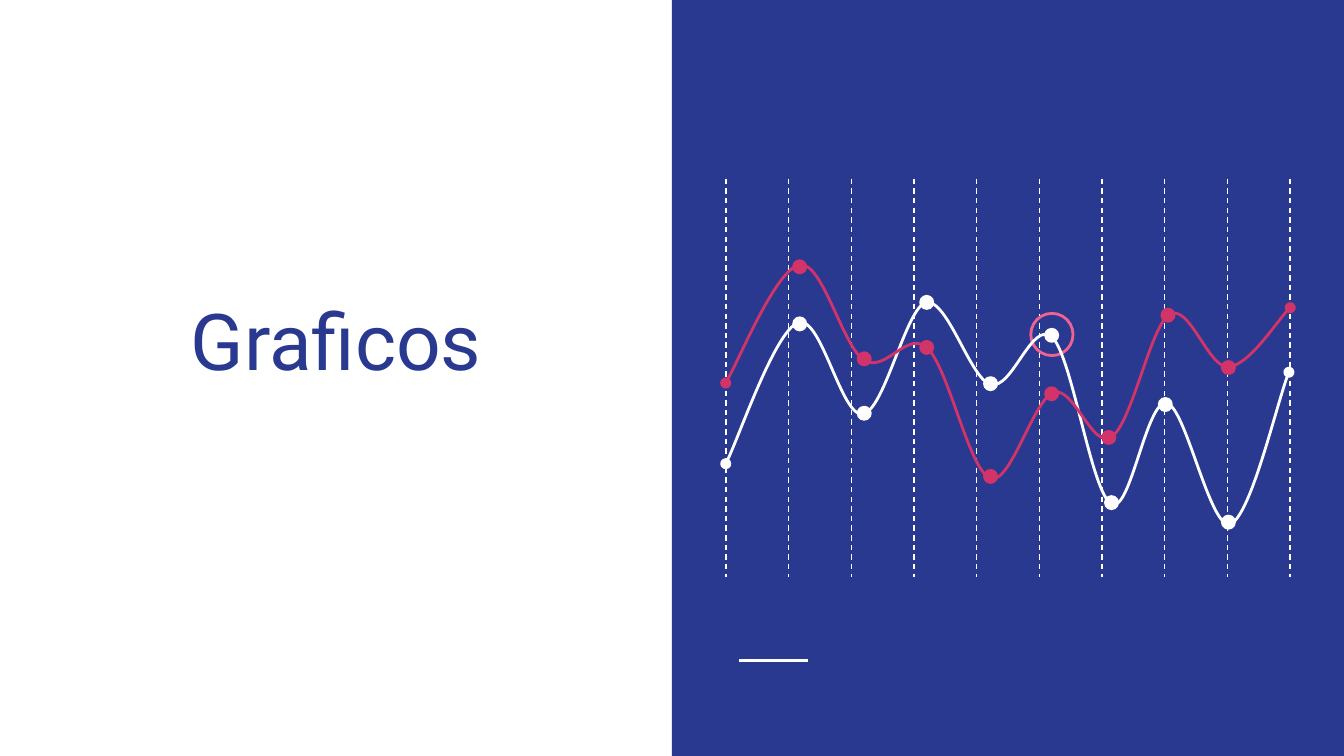
"""Build a title slide with a two-series line plot on a blue panel."""
from dataclasses import dataclass

from lxml.etree import SubElement
from pptx import Presentation
from pptx.dml.color import RGBColor
from pptx.enum.dml import MSO_LINE
from pptx.enum.shapes import MSO_CONNECTOR as CONN, MSO_SHAPE as SHAPE
from pptx.enum.text import MSO_ANCHOR, PP_ALIGN
from pptx.oxml.ns import qn
from pptx.util import Inches, Pt

WHITE, NAVY, RED, PINK = "FFFFFF", "2A3990", "D23369", "F06292"
WIDTH, HEIGHT = 100, 56.25
COLUMNS, LEFT, RIGHT, TOP, BOTTOM = 10, 54.02, 95.98, 13.3, 42.9
DOT = 0.9

Point = tuple[float, float]


@dataclass
class Series:
    """A smooth curve of Bezier segments and the centres of its dots."""
    color: str
    start: Point
    segments: list[tuple[Point, Point, Point]]
    dots: list[Point]


SERIES = [
    Series(WHITE, (54, 34.5), [
        ((54.9, 32.8), (57.7, 24.6), (59.4, 24)),
        ((61.1, 23.4), (62.6, 31.1), (64.2, 30.8)),
        ((65.8, 30.6), (67.4, 22.9), (68.9, 22.5)),
        ((70.5, 22.2), (72.2, 28.2), (73.7, 28.6)),
        ((75.3, 29.1), (76.8, 23.7), (78.3, 25.1)),
        ((79.8, 26.6), (81.2, 36.7), (82.7, 37.5)),
        ((84.1, 38.3), (85.3, 29.7), (86.8, 30)),
        ((88.2, 30.2), (90, 39.3), (91.5, 39)),
        ((93, 38.6), (95.1, 29.6), (95.9, 27.7)),
    ], [(91.4, 38.85), (86.7, 30.1), (82.7, 37.4), (78.25, 24.95),
        (73.7, 28.55), (68.95, 22.5), (64.3, 30.75), (59.5, 24.1)]),
    Series(RED, (54, 28.5), [
        ((54.9, 27), (57.8, 20), (59.5, 19.7)),
        ((61.2, 19.4), (62.7, 25.8), (64.3, 26.8)),
        ((65.9, 27.8), (67.5, 24.5), (69, 25.9)),
        ((70.6, 27.4), (72.1, 35), (73.7, 35.6)),
        ((75.2, 36.1), (76.9, 29.7), (78.4, 29.2)),
        ((79.9, 28.7), (81.3, 33.5), (82.7, 32.5)),
        ((84.2, 31.6), (85.6, 24.3), (87, 23.4)),
        ((88.5, 22.5), (89.9, 27.4), (91.4, 27.3)),
        ((92.9, 27.2), (95.2, 23.6), (96, 22.9)),
    ], [(59.5, 19.85), (64.3, 26.7), (68.95, 25.85), (73.7, 35.45),
        (78.25, 29.3), (82.5, 32.55), (86.9, 23.45), (91.4, 27.35)]),
]


def rgb(color: str) -> RGBColor:
    """Turn a hex string into a colour."""
    return RGBColor.from_string(color)


def size(share: float) -> int:
    """Turn a percentage of the slide width into a length."""
    return Inches(share / 10)


def paint(s, fill: str | None, line: str | None) -> None:
    """Set the fill and outline of a shape; None leaves either empty."""
    s.shadow.inherit = False
    if fill:
        s.fill.solid()
        s.fill.fore_color.rgb = rgb(fill)
    else:
        s.fill.background()
    if line:
        s.line.color.rgb = rgb(line)
        s.line.width = Pt(1.5)
    else:
        s.line.fill.background()


def add_line(shapes, start: Point, end: Point, width: float, dash=None) -> None:
    """Draw a straight white line."""
    s = shapes.add_connector(CONN.STRAIGHT, *map(size, start + end))
    s.line.color.rgb = rgb(WHITE)
    s.line.width = Pt(width)
    if dash:
        s.line.dash_style = dash
    SubElement(s._element.spPr, qn("a:effectLst"))


def add_circle(shapes, center: Point, diameter: float, fill: str | None, line: str) -> None:
    """Draw a circle around a centre."""
    x, y = (size(c - diameter / 2) for c in center)
    s = shapes.add_shape(SHAPE.OVAL, x, y, size(diameter), size(diameter))
    paint(s, fill, line)


def bend(s, segments: list[tuple[Point, Point, Point]]) -> None:
    """Turn the straight segments of a freeform into Bezier segments."""
    for node, points in zip(list(s._element.iter(qn("a:lnTo"))), segments):
        node.tag = qn("a:cubicBezTo")
        node.remove(node[0])
        for x, y in points:
            SubElement(node, qn("a:pt"), x=str(size(x) - s.left), y=str(size(y) - s.top))


def add_series(shapes, series: Series) -> None:
    """Draw a curve with round ends, then its dots."""
    builder = shapes.build_freeform(*map(size, series.start))
    anchors = [(size(x), size(y)) for _, _, (x, y) in series.segments]
    builder.add_line_segments(anchors, close=False)
    s = builder.convert_to_shape()
    bend(s, series.segments)
    paint(s, None, series.color)
    ln = s.line._get_or_add_ln()
    SubElement(ln, qn("a:round"))
    for tag in ("a:headEnd", "a:tailEnd"):
        SubElement(ln, qn(tag), type="oval")
    for dot in series.dots:
        add_circle(shapes, dot, DOT, series.color, series.color)


def add_title(shapes, text: str) -> None:
    """Write the title on the white half."""
    tf = shapes.add_textbox(*map(size, (2.9, 12.6, 44.2, 17.1))).text_frame
    tf.word_wrap = True
    tf.vertical_anchor = MSO_ANCHOR.BOTTOM
    tf.margin_left = tf.margin_right = tf.margin_top = tf.margin_bottom = size(1)
    tf.text = text
    p = tf.paragraphs[0]
    p.alignment = PP_ALIGN.CENTER
    font = p.runs[0].font
    font.name, font.size, font.color.rgb = "Roboto", Pt(42), rgb(NAVY)


def main() -> None:
    """Build and save the slide."""
    prs = Presentation()
    prs.slide_width, prs.slide_height = size(WIDTH), size(HEIGHT)
    shapes = prs.slides.add_slide(prs.slide_layouts[6]).shapes
    half = size(WIDTH / 2)
    paint(shapes.add_shape(SHAPE.RECTANGLE, half, 0, half, size(HEIGHT)), NAVY, None)
    add_line(shapes, (55, 49.15), (60.1, 49.15), 1.5)
    grid = shapes.add_group_shape().shapes
    for col in range(COLUMNS):
        x = LEFT + col * (RIGHT - LEFT) / (COLUMNS - 1)
        add_line(grid, (x, TOP), (x, BOTTOM), 0.75, MSO_LINE.DASH)
    add_circle(shapes, (78.27, 24.89), 3.14, None, PINK)
    add_title(shapes, "Graficos")
    for series in SERIES:
        add_series(shapes.add_group_shape().shapes, series)
    prs.save("out.pptx")


if __name__ == "__main__":
    main()
